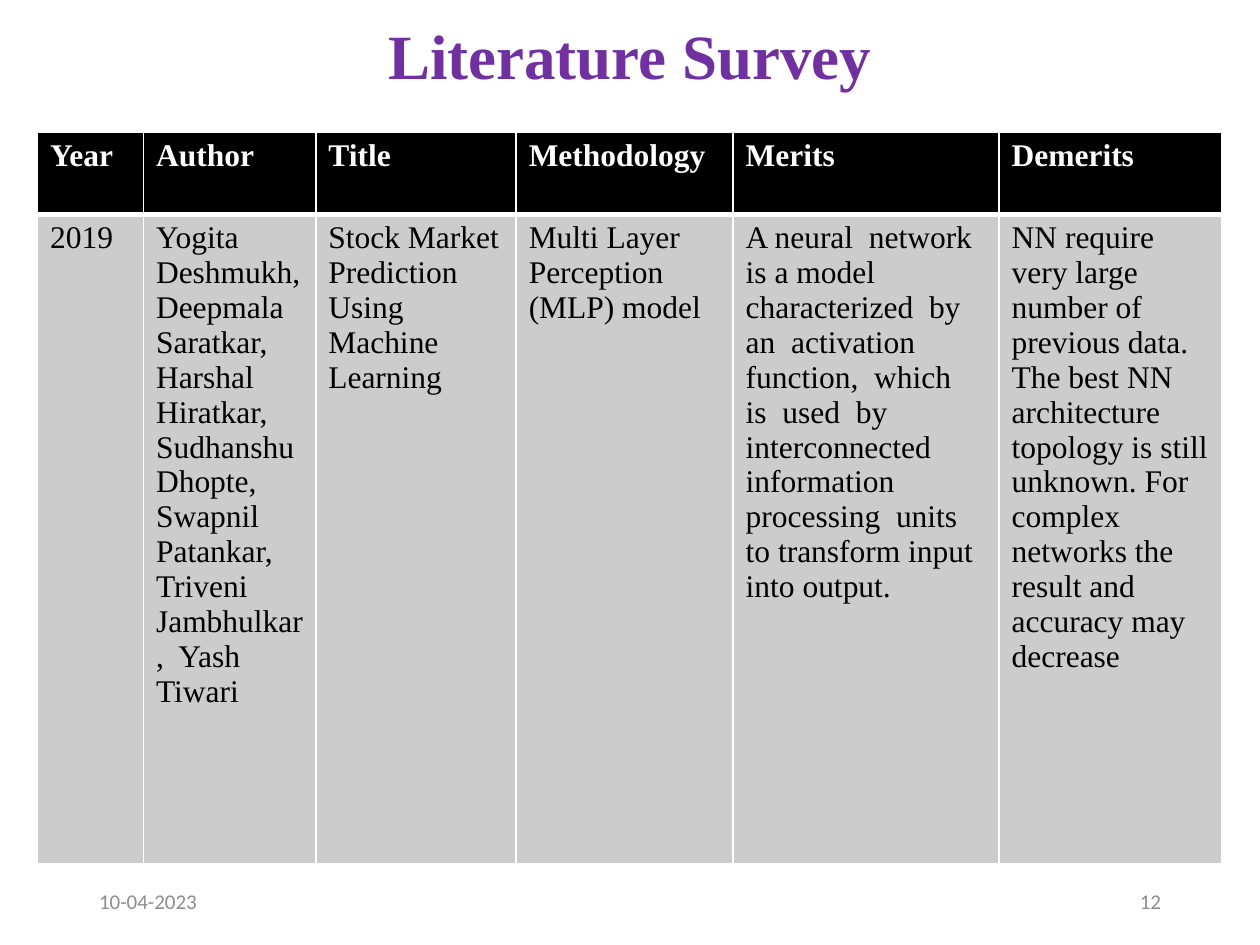
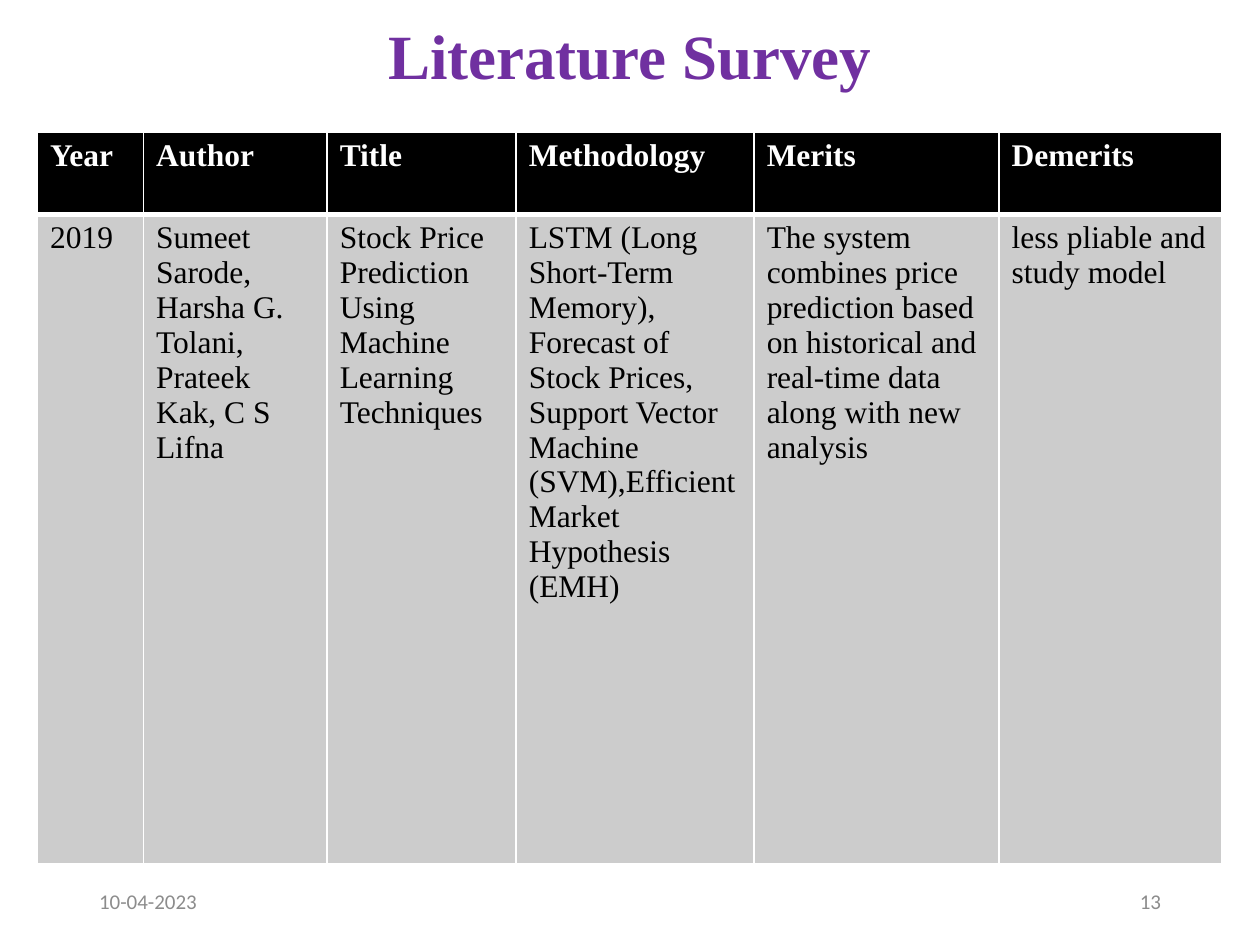
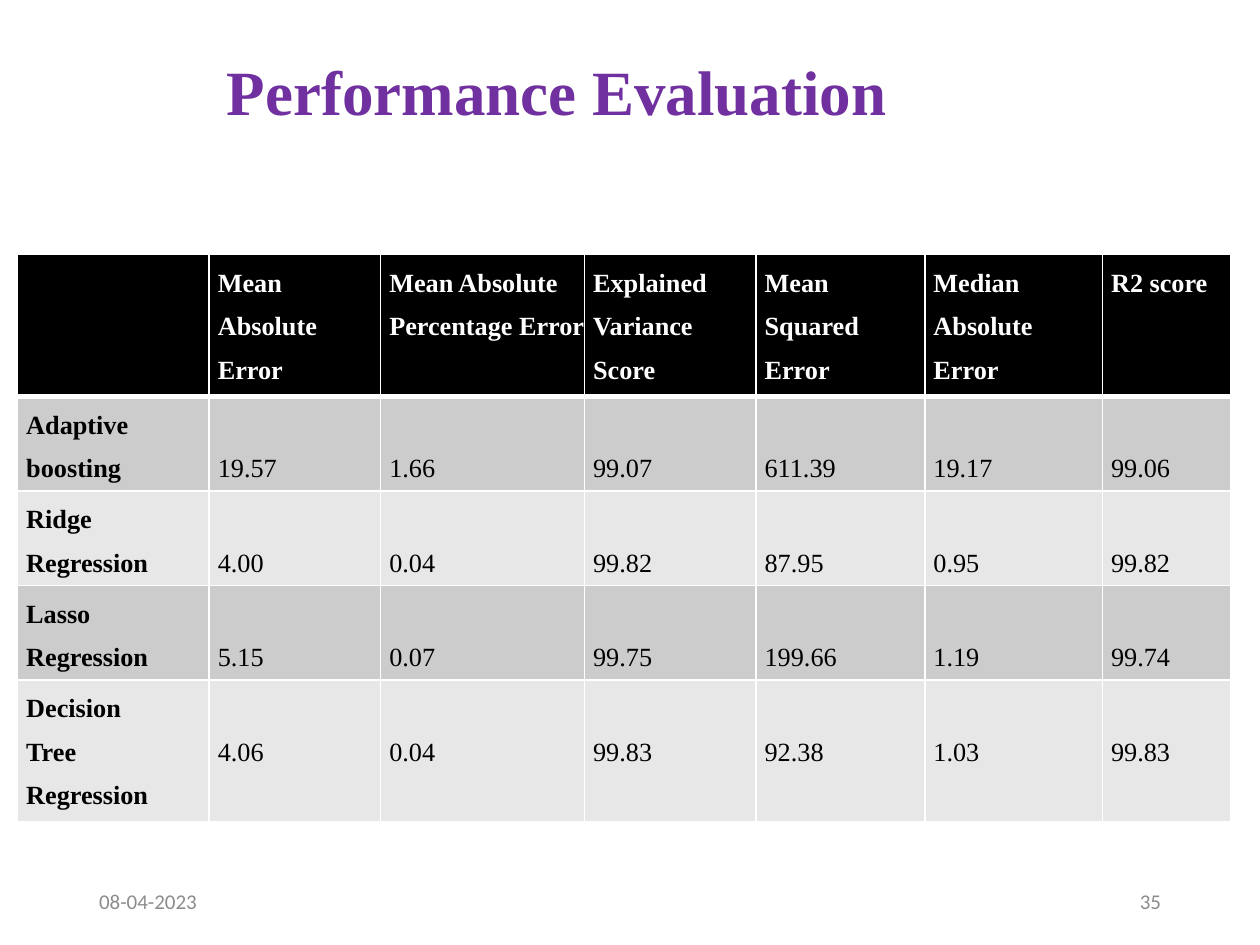
"""Build three slides of tables: two literature surveys and a performance evaluation."""
from lxml.etree import SubElement
from pptx import Presentation
from pptx.dml.color import RGBColor
from pptx.enum.text import MSO_ANCHOR, MSO_AUTO_SIZE, PP_ALIGN
from pptx.oxml.ns import qn
from pptx.util import Pt

COLORS = {
    "title": "7030A0",
    "footer": "8C8C8C",
    "header": "000000",
    "header text": "FFFFFF",
    "body text": "000000",
    "border": "FFFFFF",
    "dark band": "CCCCCC",
    "light band": "E7E7E7",
}
BODY_FONT = "Times New Roman"
FOOTER_FONT = "Calibri"

SURVEY_STYLE = {
    "title": "Literature Survey",
    "title box": (49.5, 13, 621, 42),
    "title align": PP_ALIGN.CENTER,
    "position": (21.5, 75.5),
    "row heights": (47, 371),
    "size": 18,
    "line spacing": 1,
    "margins": (7.2, 3.6, 7.2, 3.6),
    "label margins": (7.2, 3.6, 7.2, 3.6),
    "value margins": (7.2, 3.6, 7.2, 3.6),
    "bold labels": False,
}
EVALUATION_STYLE = {
    "title": "Performance Evaluation",
    "title box": (122.5, 2, 409, 104.5),
    "title align": PP_ALIGN.LEFT,
    "position": (10, 145.5),
    "row heights": (75, 53.5, 50.5, 50.5, 74.5),
    "size": 15,
    "line spacing": 1.5,
    "margins": (5, 0, 0, 0),
    "label margins": (5, 0, 25, 0),
    "value margins": (5, 25, 0, 0),
    "bold labels": True,
}
SURVEY_HEADER = ("Year", "Author", "Title", "Methodology", "Merits", "Demerits")

SLIDES = [
    {
        "style": SURVEY_STYLE,
        "date": "10-04-2023",
        "number": "12",
        "column widths": (60.5, 98.5, 114.5, 124, 152, 127.5),
        "rows": [
            SURVEY_HEADER,
            (
                "2019",
                "Yogita Deshmukh, Deepmala Saratkar, Harshal Hiratkar, Sudhanshu Dhopte, "
                "Swapnil Patankar, Triveni Jambhulkar,  Yash Tiwari",
                "Stock Market Prediction Using Machine Learning",
                "Multi Layer Perception (MLP) model",
                "A neural  network is a model  characterized  by  an  activation  function,  "
                "which  is  used  by  interconnected  information  processing  units  "
                "to transform input into output.",
                "NN require very large number of previous data. The best NN architecture "
                "topology is still unknown. For complex networks the result and accuracy "
                "may decrease",
            ),
        ],
    },
    {
        "style": SURVEY_STYLE,
        "date": "10-04-2023",
        "number": "13",
        "column widths": (60.5, 105, 108, 136, 140, 127.5),
        "rows": [
            SURVEY_HEADER,
            (
                "2019",
                "Sumeet Sarode, Harsha G. Tolani, Prateek Kak, C S Lifna",
                "Stock Price Prediction Using Machine Learning Techniques",
                "LSTM (Long Short-Term Memory), Forecast of Stock Prices, Support Vector "
                "Machine (SVM),Efficient Market Hypothesis (EMH)",
                "The system combines price prediction based on historical and real-time "
                "data along with new analysis",
                "less pliable and study model",
            ),
        ],
    },
    {
        "style": EVALUATION_STYLE,
        "date": "08-04-2023",
        "number": "35",
        "column widths": (109.5, 98, 116.5, 98, 96.5, 101.5, 73.5),
        "rows": [
            ("", "Mean Absolute Error", "Mean Absolute Percentage Error",
             "Explained Variance Score", "Mean Squared Error", "Median Absolute Error",
             "R2 score"),
            ("Adaptive\nboosting", "19.57", "1.66", "99.07", "611.39", "19.17", "99.06"),
            ("Ridge\nRegression", "4.00", "0.04", "99.82", "87.95", "0.95", "99.82"),
            ("Lasso Regression", "5.15", "0.07", "99.75", "199.66", "1.19", "99.74"),
            ("Decision Tree\nRegression", "4.06", "0.04", "99.83", "92.38", "1.03", "99.83"),
        ],
    },
]


def format_paragraph(paragraph, font_name, size, color, bold=False):
    font = paragraph.font
    font.name, font.size, font.bold = font_name, Pt(size), bold
    font.color.rgb = RGBColor.from_string(COLORS[color])


def add_title(slide, style):
    title = slide.shapes.title
    title.left, title.top, title.width, title.height = map(Pt, style["title box"])
    title.text = style["title"]
    frame = title.text_frame
    frame.auto_size = MSO_AUTO_SIZE.NONE
    frame.word_wrap = True
    frame.vertical_anchor = MSO_ANCHOR.MIDDLE
    paragraph = frame.paragraphs[0]
    paragraph.alignment = style["title align"]
    paragraph.line_spacing = 0.9
    format_paragraph(paragraph, BODY_FONT, 36, "title", bold=True)


def add_footer(slide, text, left, alignment):
    box = slide.shapes.add_textbox(Pt(left), Pt(500.5), Pt(162), Pt(28.75))
    frame = box.text_frame
    frame.word_wrap = True
    frame.vertical_anchor = MSO_ANCHOR.MIDDLE
    frame.text = text
    paragraph = frame.paragraphs[0]
    paragraph.alignment = alignment
    format_paragraph(paragraph, FOOTER_FONT, 12, "footer")


def add_borders(cell, top, bottom):
    properties = cell._tc.get_or_add_tcPr()
    for side, width in (("L", 1), ("R", 1), ("T", top), ("B", bottom)):
        line = SubElement(properties, qn(f"a:ln{side}"), w=str(Pt(width)))
        fill = SubElement(line, qn("a:solidFill"))
        SubElement(fill, qn("a:srgbClr"), val=COLORS["border"])


def fill_cell(cell, text, row, column, style):
    is_header = row == 0
    is_label = column == 0 and not is_header
    if is_header:
        background, margins = "header", style["margins"]
    else:
        background = "dark band" if row % 2 else "light band"
        margins = style["label margins" if is_label else "value margins"]
    add_borders(cell, top=3 if row == 1 else 1, bottom=3 if is_header else 1)
    cell.fill.solid()
    cell.fill.fore_color.rgb = RGBColor.from_string(COLORS[background])
    (cell.margin_left, cell.margin_top,
     cell.margin_right, cell.margin_bottom) = map(Pt, margins)
    cell.text = text
    for paragraph in cell.text_frame.paragraphs:
        paragraph.line_spacing = style["line spacing"]
        format_paragraph(
            paragraph, BODY_FONT, style["size"],
            "header text" if is_header else "body text",
            bold=is_header or (is_label and style["bold labels"]),
        )


def add_data_table(slide, content):
    style, rows = content["style"], content["rows"]
    widths, heights = content["column widths"], style["row heights"]
    left, top = style["position"]
    table = slide.shapes.add_table(
        len(rows), len(widths), Pt(left), Pt(top), Pt(sum(widths)), Pt(sum(heights))
    ).table
    for table_column, width in zip(table.columns, widths):
        table_column.width = Pt(width)
    for table_row, height in zip(table.rows, heights):
        table_row.height = Pt(height)
    for row, texts in enumerate(rows):
        for column, text in enumerate(texts):
            fill_cell(table.cell(row, column), text, row, column, style)


def main():
    presentation = Presentation()
    presentation.slide_width, presentation.slide_height = Pt(720), Pt(540)
    title_only = presentation.slide_layouts[5]
    for content in SLIDES:
        slide = presentation.slides.add_slide(title_only)
        add_title(slide, content["style"])
        add_footer(slide, content["date"], 49.5, PP_ALIGN.LEFT)
        add_footer(slide, content["number"], 508.5, PP_ALIGN.RIGHT)
        add_data_table(slide, content)
    presentation.save("out.pptx")


if __name__ == "__main__":
    main()
